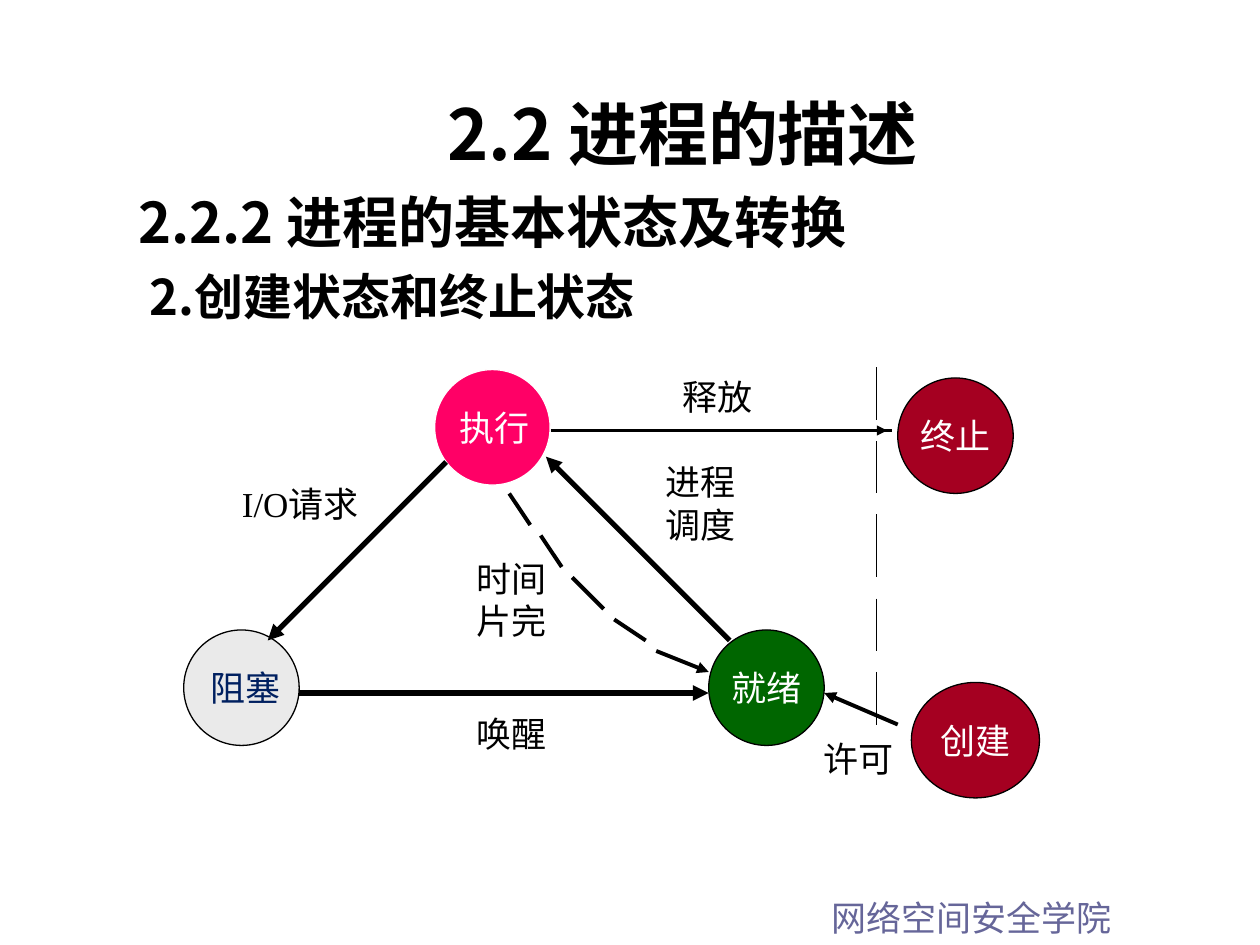
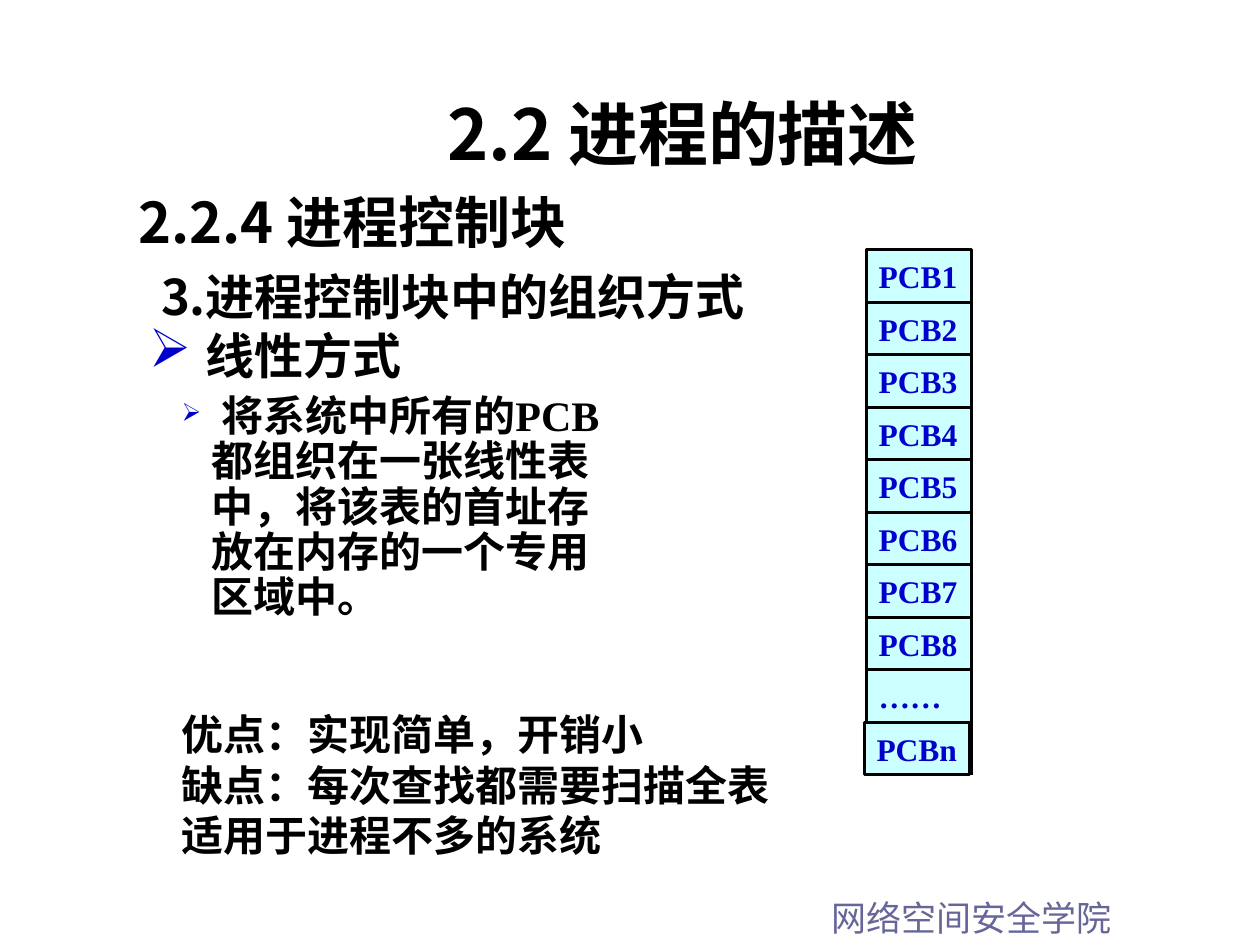
from lxml import etree
from pptx import Presentation
from pptx.dml.color import RGBColor
from pptx.enum.shapes import MSO_CONNECTOR as CONN, MSO_SHAPE as SHAPE
from pptx.enum.text import MSO_ANCHOR as ANCHOR, MSO_AUTO_SIZE as AUTO, PP_ALIGN as ALIGN
from pptx.oxml.ns import qn
from pptx.util import Inches, Pt

BLACK = RGBColor(0x00, 0x00, 0x00)
WHITE = RGBColor(0xFF, 0xFF, 0xFF)
SLATE = RGBColor(0x66, 0x66, 0x99)
GREY = RGBColor(0xEA, 0xEA, 0xEA)
NAVY = RGBColor(0x00, 0x20, 0x60)
GREEN = RGBColor(0x00, 0x66, 0x00)
PINK = RGBColor(0xFF, 0x00, 0x66)
MAROON = RGBColor(0xA5, 0x00, 0x21)
BLUE = RGBColor(0x00, 0x00, 0xCC)
AQUA = RGBColor(0xCC, 0xFF, 0xFF)

SERIF = "Times New Roman"
SANS = "Noto Sans CJK SC"
SANS_JP = "Noto Sans CJK JP"
CABIN = "Cabin"
SYMBOL = "OpenSymbol"

COLS, ROWS = 120, 90  # square grid cells, 12 to the inch


class Deck:
    """Holds the style and the current slide; lengths are grid columns and rows."""

    def __init__(self):
        self.prs = Presentation()
        self.prs.slide_width, self.prs.slide_height = Inches(10), Inches(7.5)
        self.s = None

    def x(self, cols):
        return round(self.prs.slide_width * cols / COLS)

    def y(self, rows):
        return round(self.prs.slide_height * rows / ROWS)

    def box(self, left, top, width, height):
        return self.x(left), self.y(top), self.x(width), self.y(height)

    def new_slide(self):
        """Start a slide with the shared title and footer."""
        self.s = self.prs.slides.add_slide(self.prs.slide_layouts[6])
        footer = self.text(78, 84.8, 42, 5.3)
        self.para(footer, [("网络空间安全学院", SANS_JP)], 20, SLATE)
        title = self.text(17, 8, 96, 9.2)
        self.para(title, [("2.2 进程的描述", SANS_JP)], 40, bold=True, align=ALIGN.CENTER)

    def headings(self, section, topic, inset):
        """Section heading with a topic line below it, moved right by inset inches."""
        tf = self.text(12, 16, 103, 15.6)
        for runs, size, shift in ((section, 32, 0), (topic, 28, inset)):
            p = self.para(tf, runs, size, bold=True, spacing=1.2)
            self.indent(p, 0.5 + shift, -0.5)

    def text(self, left, top, width, height, wrap=True):
        tf = self.s.shapes.add_textbox(*self.box(left, top, width, height)).text_frame
        tf.word_wrap = wrap
        tf.auto_size = AUTO.SHAPE_TO_FIT_TEXT
        return tf

    def para(self, tf, runs, size, color=BLACK, bold=False, align=ALIGN.LEFT,
             spacing=None, before=0):
        first = tf.paragraphs[0]
        p = tf.add_paragraph() if first.runs else first
        p.alignment = align
        if spacing:
            p.line_spacing = spacing
        if before:
            p.space_before = Pt(before)
        for words, font in runs:
            r = p.add_run()
            r.text = words
            r.font.size, r.font.bold, r.font.name = Pt(size), bold, font
            r.font.color.rgb = color
            # Chinese characters are always set in the sans face
            ea = etree.SubElement(r.font._element, qn("a:ea"))
            ea.set("typeface", SANS_JP if font == SANS_JP else SANS)
        return p

    def indent(self, p, left, first):
        pPr = p._p.get_or_add_pPr()
        pPr.set("marL", str(Inches(left)))
        pPr.set("indent", str(Inches(first)))

    def bullet(self, p, percent, left, hang):
        self.indent(p, left, -hang)
        pPr = p._p.get_or_add_pPr()
        color = etree.SubElement(pPr, qn("a:buClr"))
        etree.SubElement(color, qn("a:srgbClr")).set("val", str(BLUE))
        etree.SubElement(pPr, qn("a:buSzPct")).set("val", str(percent * 1000))
        etree.SubElement(pPr, qn("a:buFont")).set("typeface", SYMBOL)
        etree.SubElement(pPr, qn("a:buChar")).set("char", "➢")

    def label(self, words, left, top, width=11):
        tf = self.text(left, top, width, 1.2 + 4 * len(words), wrap=False)
        for line in words:
            self.para(tf, [(line, SERIF)], 20, align=ALIGN.CENTER)

    def shape(self, kind, at, fill, line, weight):
        sp = self.s.shapes.add_shape(kind, *self.box(*at))
        sp.shadow.inherit = False
        sp.fill.solid()
        sp.fill.fore_color.rgb = fill
        sp.line.color.rgb = line
        sp.line.width = Pt(weight)
        sp.text_frame.word_wrap = False
        sp.text_frame.vertical_anchor = ANCHOR.MIDDLE
        return sp.text_frame

    def state(self, words, left, top, fill, width=11, color=WHITE, line=BLACK, inset=0.1):
        tf = self.shape(SHAPE.OVAL, (left, top, width, 11), fill, line, 0.75)
        tf.margin_left = Inches(inset)
        self.para(tf, [(words, SERIF)], 20, color, align=ALIGN.CENTER)

    def cell(self, words, left, top, width, height):
        tf = self.shape(SHAPE.RECTANGLE, (left, top, width, height), AQUA, BLACK, 1.75)
        self.para(tf, [(words, SERIF)], 18, BLUE, bold=True)

    def line(self, x1, y1, x2, y2, weight, arrow=False):
        c = self.s.shapes.add_connector(CONN.STRAIGHT, self.x(x1), self.y(y1),
                                        self.x(x2), self.y(y2))
        c.line.color.rgb = BLACK
        c.line.width = Pt(weight)
        if arrow:
            etree.SubElement(c.line._get_or_add_ln(), qn("a:tailEnd")).set("type", "triangle")
        etree.SubElement(c._element.spPr, qn("a:effectLst"))


def state_slide(deck):
    deck.new_slide()
    deck.headings([("2.2.2 ", SANS), ("进程的基本状态及转换", SERIF)],
                  [("2.", SANS), ("创建状态和终止状态", SERIF)], 0.09)

    # States
    deck.state("阻塞", 17.5, 60, GREY, color=NAVY, inset=0.17)
    deck.state("就绪", 67.5, 60, GREEN)
    deck.state("执行", 41.4, 35.2, PINK, line=WHITE, inset=0.14)
    deck.state("创建", 86.8, 65, MAROON, width=12.2)
    deck.state("终止", 85.5, 36, MAROON)

    # Transitions between the three basic states
    for ends in ((69.5, 61, 52, 43.5), (42.5, 44, 25.5, 61), (28.5, 66, 67.5, 66)):
        deck.line(*ends, 3, arrow=True)

    # Dashed curve for the end of a time slice
    for ends in ((48.5, 47, 50.5, 50), (51.5, 51, 53.5, 54),
                 (54.5, 55, 57.5, 58), (58.5, 59, 61.5, 61)):
        deck.line(*ends, 2.25)
    deck.line(62.5, 62, 67.5, 64, 2.25, arrow=True)

    # Dashed border towards the created and terminated states
    for top, length in ((35, 5), (42, 5), (49, 6), (57, 5), (64, 5)):
        deck.line(83.5, top, 83.5, top + length, 0.75)

    # Release and admission
    deck.line(52.5, 41, 85, 41, 2.25)
    deck.line(79.5, 41, 84.5, 41, 0.75, arrow=True)
    deck.line(85.5, 69, 78.5, 66, 2.25, arrow=True)

    # Labels
    deck.label(["进程"], 61.2, 43.3)
    deck.label(["调度"], 61.2, 47.4)
    deck.label(["I/O请求"], 20.5, 45.4, 16.2)
    deck.label(["唤醒"], 43.2, 67.3)
    deck.label(["时间", "片完"], 43.2, 52.5)
    deck.label(["释放"], 62.8, 35.2)
    deck.label(["许可"], 76.3, 69.6)


def pcb_slide(deck):
    deck.new_slide()
    deck.headings([("2.2.4 ", SANS), ("进程控制块", SERIF)],
                  [("3.进程控制块中的", SANS), ("组织方式", SERIF)], 0.18)

    # Linear organisation
    tf = deck.text(13, 31, 47, 29.6)
    p = deck.para(tf, [("线性方式", SERIF)], 28, bold=True, spacing=0.9)
    deck.bullet(p, 110, 0.45, 0.45)
    detail = " 将系统中所有的PCB都组织在一张线性表中，将该表的首址存放在内存的一个专用区域中。"
    p = deck.para(tf, [(detail, SERIF)], 24, bold=True, spacing=0.9, before=6)
    deck.bullet(p, 60, 0.5, 0.24)

    # Linear table of PCBs
    left, top, width, height = 82.5, 23.8, 10, 5
    names = [f"PCB{i}" for i in range(1, 9)] + ["……"]
    for row, name in enumerate(names):
        deck.cell(name, left, top + row * height, width, height)
    bottom = top + len(names) * height
    deck.cell("PCBn", left - 0.2, bottom, width, height)
    deck.line(left + width, top, left + width, bottom + height, 1.75)

    # Pros and cons
    tf = deck.text(16.1, 66.9, 62, 15.6, wrap=False)
    for words in ("优点：实现简单，开销小", "缺点：每次查找都需要扫描全表", "适用于进程不多的系统"):
        deck.para(tf, [(words, CABIN)], 24, bold=True)


def main():
    deck = Deck()
    state_slide(deck)
    pcb_slide(deck)
    deck.prs.save("out.pptx")


if __name__ == "__main__":
    main()
